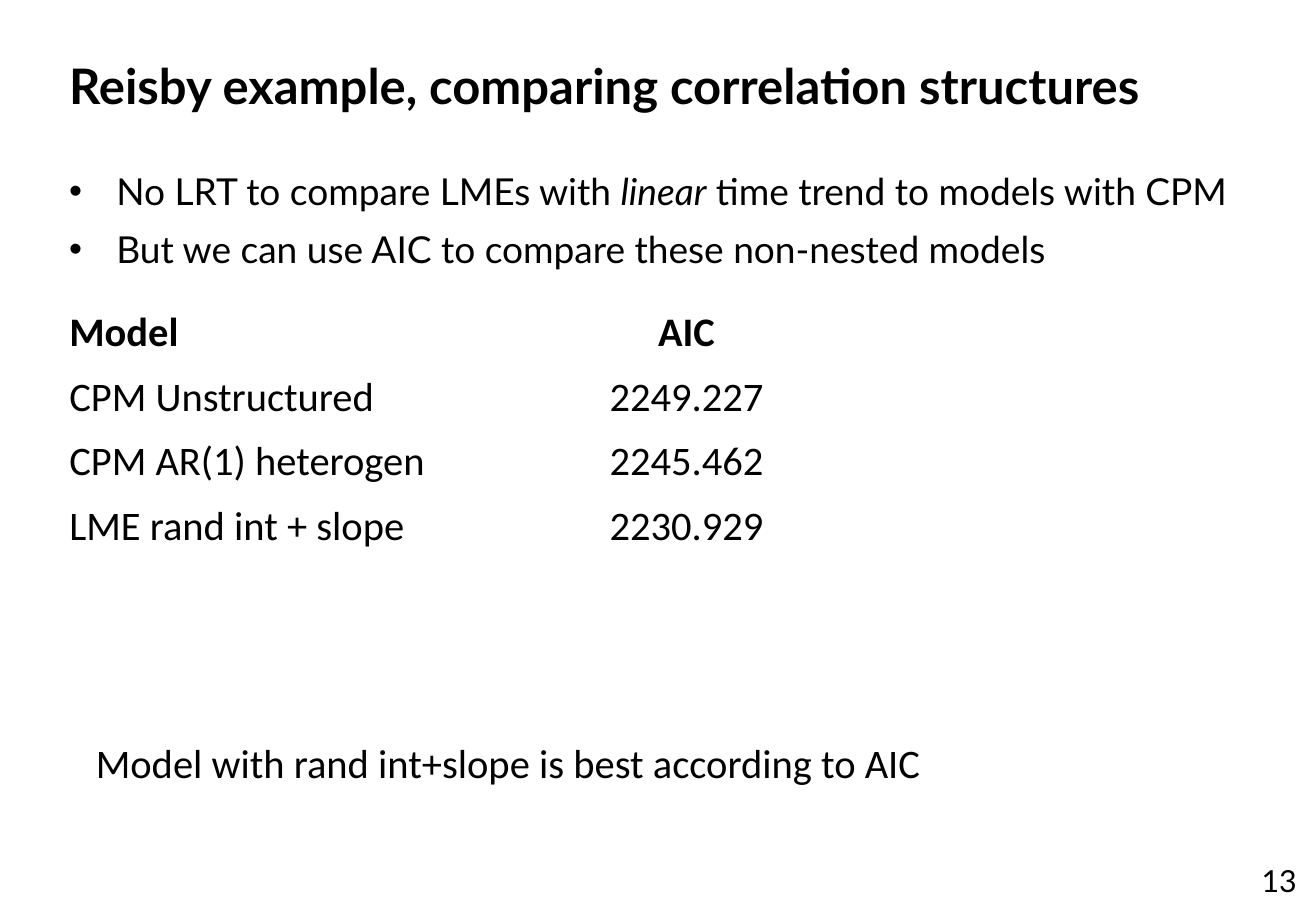
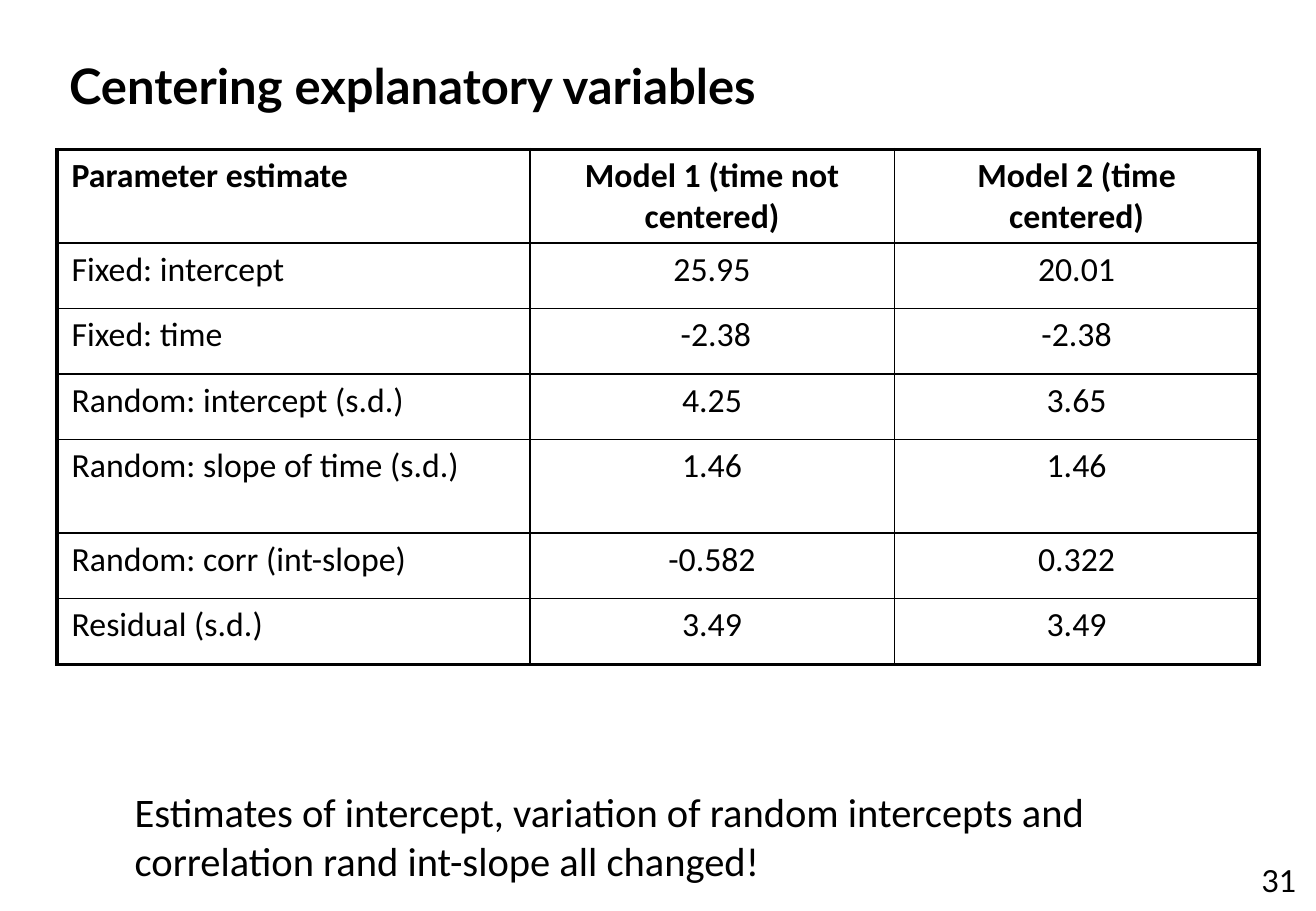
"""Build two slides on comparing mixed models."""
from lxml import etree
from pptx import Presentation
from pptx.dml.color import RGBColor
from pptx.enum.text import MSO_ANCHOR, PP_ALIGN
from pptx.oxml.ns import qn
from pptx.util import Inches, Pt

BLACK = RGBColor(0x00, 0x00, 0x00)
HEAD, BODY = "Lato", "Calibri"
LEFT, CENTER, RIGHT = PP_ALIGN.LEFT, PP_ALIGN.CENTER, PP_ALIGN.RIGHT
TOP, MIDDLE = MSO_ANCHOR.TOP, MSO_ANCHOR.MIDDLE
THICK, THIN = 2.25, 1

AIC = [
    ("Model", "AIC"),
    ("CPM Unstructured", "2249.227"),
    ("CPM AR(1) heterogen", "2245.462"),
    ("LME rand int + slope", "2230.929"),
]
FITS = [
    ("Parameter estimate", "Model 1 (time not centered)", "Model 2 (time centered)"),
    ("Fixed: intercept", "25.95", "20.01"),
    ("Fixed: time", " -2.38", "-2.38"),
    ("Random: intercept (s.d.)", "4.25", "3.65"),
    ("Random: slope of time (s.d.)", "1.46", "1.46"),
    ("Random: corr (int-slope)", "-0.582", "0.322"),
    ("Residual (s.d.)", "3.49", "3.49"),
]
POINTS = [
    [("No LRT to compare LMEs with ", False), ("linear", True),
     (" time trend to models with CPM", False)],
    [("But we can use AIC to compare these non-nested models", False)],
]


def style(run, size, face, bold=False, italic=False):
    """Set the font of a run."""
    font = run.font
    font.size, font.name = Pt(size), face
    font.bold, font.italic = bold, italic
    font.color.rgb = BLACK


def add_box(slide, left, top, width, height, anchor=TOP):
    """Add a wrapping text box and return its frame."""
    box = slide.shapes.add_textbox(
        Inches(left), Inches(top), Inches(width), Inches(height))
    frame = box.text_frame
    frame.word_wrap = True
    frame.vertical_anchor = anchor
    return frame


def fill_text(frame, text, size, face, bold=False, align=LEFT):
    """Write one styled paragraph into a frame."""
    frame.text = text
    para = frame.paragraphs[0]
    para.alignment = align
    style(para.runs[0], size, face, bold)


def add_bullets(slide, points):
    """Add the bulleted list below the title."""
    frame = add_box(slide, 0.47, 1.23, 9.9, 1.2)
    for i, parts in enumerate(points):
        para = frame.paragraphs[0] if i == 0 else frame.add_paragraph()
        para.line_spacing = 1.3
        props = para._p.get_or_add_pPr()
        props.set("marL", str(Inches(0.39)))
        props.set("indent", str(Inches(-0.39)))
        etree.SubElement(props, qn("a:buFont"), typeface="Arial")
        etree.SubElement(props, qn("a:buChar"), char="•")
        for text, italic in parts:
            run = para.add_run()
            run.text = text
            style(run, 22, HEAD, italic=italic)


def add_edge(cell, side, width):
    """Draw a solid black border on one side of a cell."""
    props = cell._tc.get_or_add_tcPr()
    line = etree.SubElement(props, qn("a:ln" + side), w=str(Pt(width)))
    fill = etree.SubElement(line, qn("a:solidFill"))
    etree.SubElement(fill, qn("a:srgbClr"), val=str(BLACK))


def add_grid(slide, rows, top, widths, heights, size, inset, ruled=False):
    """Add a plain table with a bold first row, ruled on request."""
    count, span = len(rows), len(widths)
    table = slide.shapes.add_table(
        count, span, Inches(0.47), Inches(top),
        Inches(sum(widths)), Inches(sum(heights))).table
    table.first_row = table.horz_banding = False
    for col, width in zip(table.columns, widths):
        col.width = Inches(width)
    for r, (row, height) in enumerate(zip(rows, heights)):
        table.rows[r].height = Inches(height)
        for c, text in enumerate(row):
            cell = table.cell(r, c)
            cell.margin_left = cell.margin_right = Inches(inset)
            fill_text(cell.text_frame, text, size, BODY, r == 0,
                      CENTER if c else LEFT)
            if ruled:
                outer = {"L": c == 0, "R": c == span - 1,
                         "T": r == 0, "B": r == count - 1}
                for side, edge in outer.items():
                    add_edge(cell, side, THICK if edge else THIN)
            cell.fill.background()


def add_slide(deck, title, number):
    """Add a blank slide with its title and page number."""
    slide = deck.slides.add_slide(deck.slide_layouts[6])
    fill_text(add_box(slide, 0.47, 0.41, 9.9, 0.67), title, 29, HEAD, True)
    fill_text(add_box(slide, 8.44, 7.05, 2.33, 0.4, MIDDLE), number, 18, HEAD,
              align=RIGHT)
    return slide


def add_note(slide, text, left, top, width, height):
    """Add the closing remark."""
    fill_text(add_box(slide, left, top, width, height), text, 24, BODY)


def main():
    """Build and save the deck."""
    deck = Presentation()
    deck.slide_width, deck.slide_height = Inches(10.83), Inches(7.5)

    slide = add_slide(deck, "Reisby example, comparing correlation structures", "13")
    add_bullets(slide, POINTS)
    add_grid(slide, AIC, 2.49, [4.08, 2.2], [0.53] * 4, 24, 0.1)
    add_note(slide, "Model with rand int+slope is best according to AIC",
             0.69, 6.03, 9.14, 0.5)

    slide = add_slide(deck, "Centering explanatory variables", "31")
    heights = [0.77] + [0.54] * 3 + [0.77] + [0.54] * 2
    add_grid(slide, FITS, 1.23, [3.89, 3, 3], heights, 20, 0.12, True)
    add_note(slide, "Estimates of intercept, variation of random intercepts and "
             "correlation rand int-slope all changed!", 1.01, 6.43, 9.29, 0.9)

    deck.save("out.pptx")


if __name__ == "__main__":
    main()
